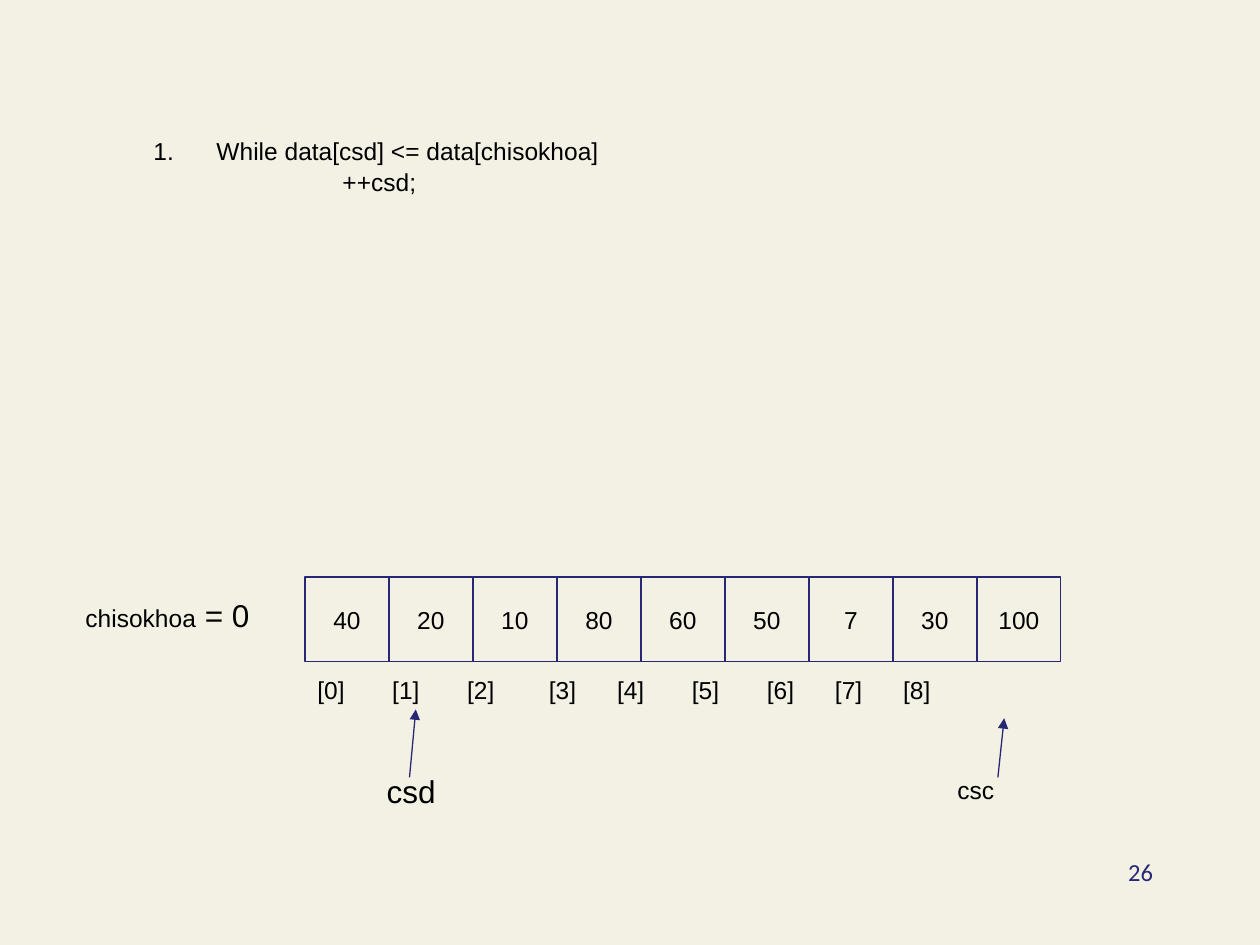
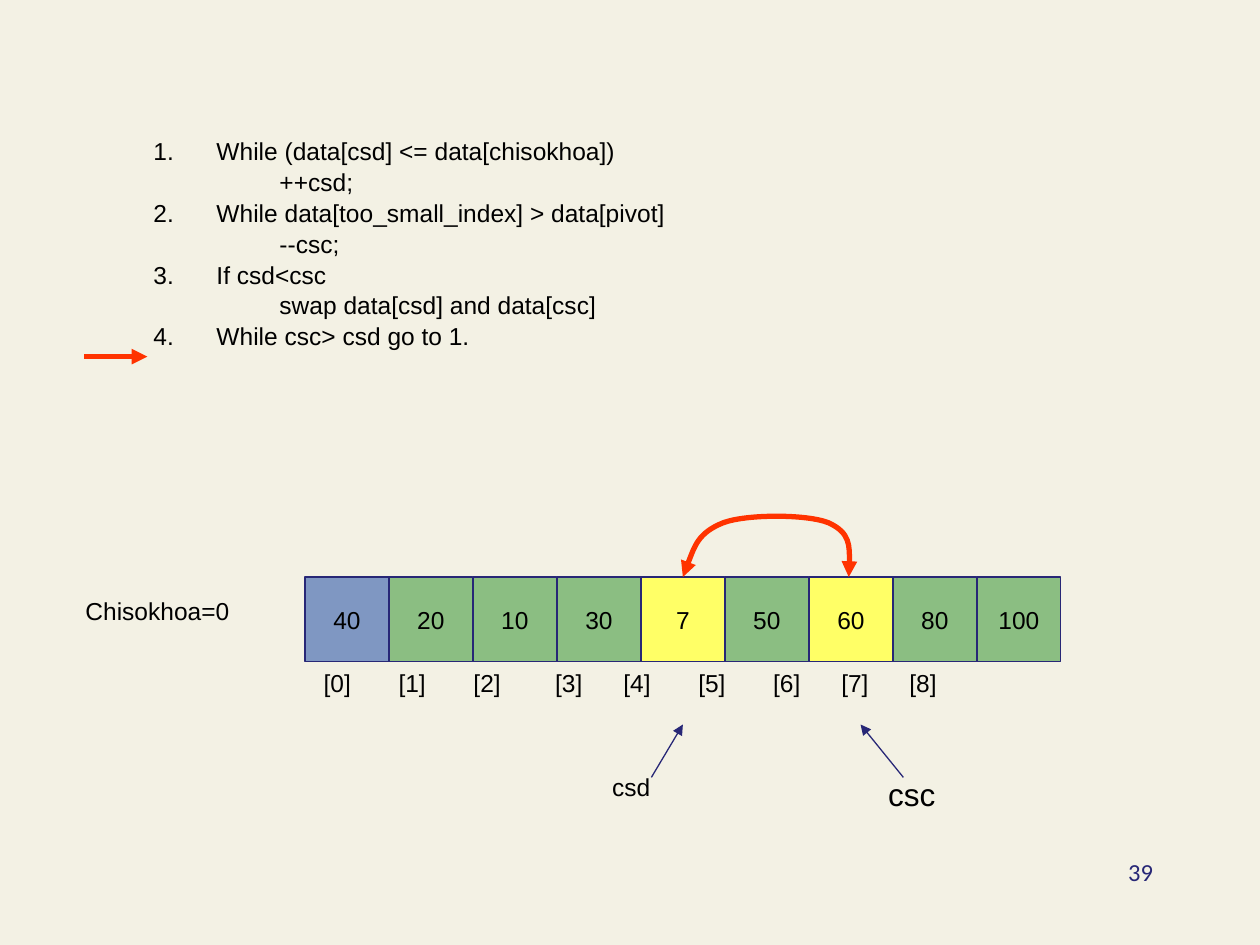
from lxml import etree
from pptx import Presentation
from pptx import util as u
from pptx.dml.color import RGBColor
from pptx.enum import shapes, text
from pptx.oxml.ns import qn

COLORS = {"bg": "F3F1E4", "ink": "000000", "line": "272776", "accent": "FF3300",
          "pivot": "7F97C2", "plain": "8BBE82", "swap": "FFFF66"}
CODE_BOX = (1.12, 1.02, 5.04, 3.13)
ARRAY_BOX = (2.42, 4.58, 6, 0.67)
PIVOT_BOX = (0.58, 4.68, 1.6, 0.4)
PAGE_BOX = (7.17, 6.75, 2.08, 0.5)
SPACE = 14 / 72 * 0.278
INDEX_WIDTH = 4 * SPACE
INDEX_GAPS = [7, 7, 8, 6, 7, 7, 6, 6]


def rgb(name):
    return RGBColor.from_string(COLORS[name])


def inches(values):
    return [u.Inches(v) for v in values]


def add_xml(parent, tag, **attrs):
    return etree.SubElement(parent, qn(tag), {k: str(v) for k, v in attrs.items()})


def write(p, words, size=14, font="Arial", color="ink", align=None, indent=0, hanging=0):
    r = p.add_run()
    r.text = words
    r.font.size = u.Pt(size)
    r.font.name = font
    r.font.color.rgb = rgb(color)
    if align is not None:
        p.alignment = align
    if indent:
        pPr = p._p.get_or_add_pPr()
        pPr.set("marL", str(u.Inches(indent)))
        pPr.set("indent", str(u.Inches(hanging)))


def add_text(s, box, words="", wrap=True, **fmt):
    tf = s.shapes.add_textbox(*inches(box)).text_frame
    tf.word_wrap = wrap
    if words:
        write(tf.paragraphs[0], words, **fmt)
    return tf


def style_line(sp, color, width, ends=("tailEnd",)):
    sp.line.color.rgb = rgb(color)
    sp.line.width = u.Pt(width)
    for end in ends:
        add_xml(sp.line._get_or_add_ln(), f"a:{end}", type="triangle")


def add_arrow(s, start, end, color="line", width=0.75):
    cx = s.shapes.add_connector(shapes.MSO_CONNECTOR.STRAIGHT, *inches(start + end))
    style_line(cx, color, width)
    add_xml(cx._element.spPr, "a:effectLst")


def add_code(s, box, lines, inner_indent):
    tf = add_text(s, box, wrap=False)
    for i, (words, is_step) in enumerate(lines):
        p = tf.add_paragraph() if i else tf.paragraphs[0]
        p.line_spacing = 1.05
        if is_step:
            write(p, words, indent=0.5, hanging=-0.5)
            pPr = p._p.get_or_add_pPr()
            add_xml(pPr, "a:buFont", typeface="+mj-lt")
            add_xml(pPr, "a:buAutoNum", type="arabicPeriod")
        else:
            p.level = 1
            write(p, words, indent=inner_indent)


def add_array(s, box, values, fills):
    x, y, w, h = box
    cell = w / len(values)
    for i, (value, fill) in enumerate(zip(values, fills)):
        sp = s.shapes.add_shape(shapes.MSO_SHAPE.RECTANGLE, *inches((x + i * cell, y, cell, h)))
        sp.shadow.inherit = False
        if fill:
            sp.fill.solid()
            sp.fill.fore_color.rgb = rgb(fill)
        else:
            sp.fill.background()
        style_line(sp, "line", 0.75, ends=())
        tf = sp.text_frame
        tf.word_wrap = False
        tf.vertical_anchor = text.MSO_ANCHOR.MIDDLE
        write(tf.paragraphs[0], str(value), align=text.PP_ALIGN.CENTER)


def add_indices(s, box):
    labels = [f"[{i}]" for i in range(len(INDEX_GAPS) + 1)]
    p = add_text(s, box, "\t".join(labels)).paragraphs[0]
    tabs = add_xml(p._p.get_or_add_pPr(), "a:tabLst")
    stop = 0
    for gap in INDEX_GAPS:
        stop += INDEX_WIDTH + gap * SPACE
        add_xml(tabs, "a:tab", pos=u.Inches(stop), algn="l")


def add_swap_curve(s, box):
    x, y, w, h = box
    fractions = [(0, 1), (0.05, 0.64), (0.09, 0.3), (0.24, 0.14), (0.38, 0), (0.74, 0),
                 (0.87, 0.14), (1, 0.3), (1, 0.64), (0.99, 1)]
    points = [inches((x + fx * w, y + fy * h)) for fx, fy in fractions]
    builder = s.shapes.build_freeform(*points[0])
    builder.add_line_segments(points[1:], close=False)
    sp = builder.convert_to_shape()
    outline = sp._element.spPr.find(".//" + qn("a:path"))
    segments = outline.findall(qn("a:lnTo"))
    for i in range(0, len(segments), 3):
        curve = add_xml(outline, "a:cubicBezTo")
        for segment in segments[i:i + 3]:
            curve.append(segment[0])
            outline.remove(segment)
    sp.shadow.inherit = False
    sp.fill.background()
    style_line(sp, "accent", 3, ends=("headEnd", "tailEnd"))


def add_base(prs, page):
    s = prs.slides.add_slide(prs.slide_layouts[6])
    s.background.fill.solid()
    s.background.fill.fore_color.rgb = rgb("bg")
    add_text(s, PAGE_BOX, page, font="Calibri", color="line", align=text.PP_ALIGN.RIGHT)
    return s


def build_first_scan(prs):
    s = add_base(prs, "26")
    add_code(s, CODE_BOX, [("While data[csd] <= data[chisokhoa]", True), ("++csd;", False)], 1.5)
    add_array(s, ARRAY_BOX, [40, 20, 10, 80, 60, 50, 7, 30, 100], [None] * 9)
    p = add_text(s, PIVOT_BOX, "chisokhoa", wrap=False).paragraphs[0]
    write(p, " = 0", size=18)
    add_indices(s, (2.42, 5.31, 6.75, 0.4))
    add_text(s, (2.42, 6.08, 3.17, 0.4), "csd", size=18, indent=0.55)
    add_text(s, (7.5, 6.1, 2, 0.4), "csc")
    add_arrow(s, (3.25, 6.17), (3.3, 5.63))
    add_arrow(s, (7.92, 6.17), (7.97, 5.7))


def build_swap_loop(prs):
    s = add_base(prs, "39")
    add_code(s, CODE_BOX, [
        ("While (data[csd] <= data[chisokhoa])", True), ("++csd;", False),
        ("While data[too_small_index] > data[pivot]", True), ("--csc;", False),
        ("If csd<csc", True), ("swap data[csd] and data[csc]", False),
        ("While csc> csd go to 1.", True)], 1)
    fills = ["pivot"] + ["plain"] * 8
    fills[4] = fills[6] = "swap"
    add_array(s, ARRAY_BOX, [40, 20, 10, 30, 7, 50, 60, 80, 100], fills)
    add_text(s, PIVOT_BOX, "Chisokhoa=0", wrap=False)
    add_indices(s, (2.47, 5.25, 6.75, 0.4))
    add_text(s, (4.33, 6.08, 3.17, 0.4), "csd", indent=0.43)
    add_text(s, (6.95, 6.1, 1.8, 0.4), "csc", size=18)
    add_arrow(s, (5.17, 6.17), (5.42, 5.75))
    add_arrow(s, (7.17, 6.17), (6.83, 5.75))
    add_arrow(s, (0.67, 2.83), (1.17, 2.83), color="accent", width=3)
    add_swap_curve(s, (5.42, 4.08, 1.33, 0.5))


def main():
    prs = Presentation()
    prs.slide_width, prs.slide_height = inches((10, 7.5))
    build_first_scan(prs)
    build_swap_loop(prs)
    prs.save("out.pptx")


if __name__ == "__main__":
    main()
